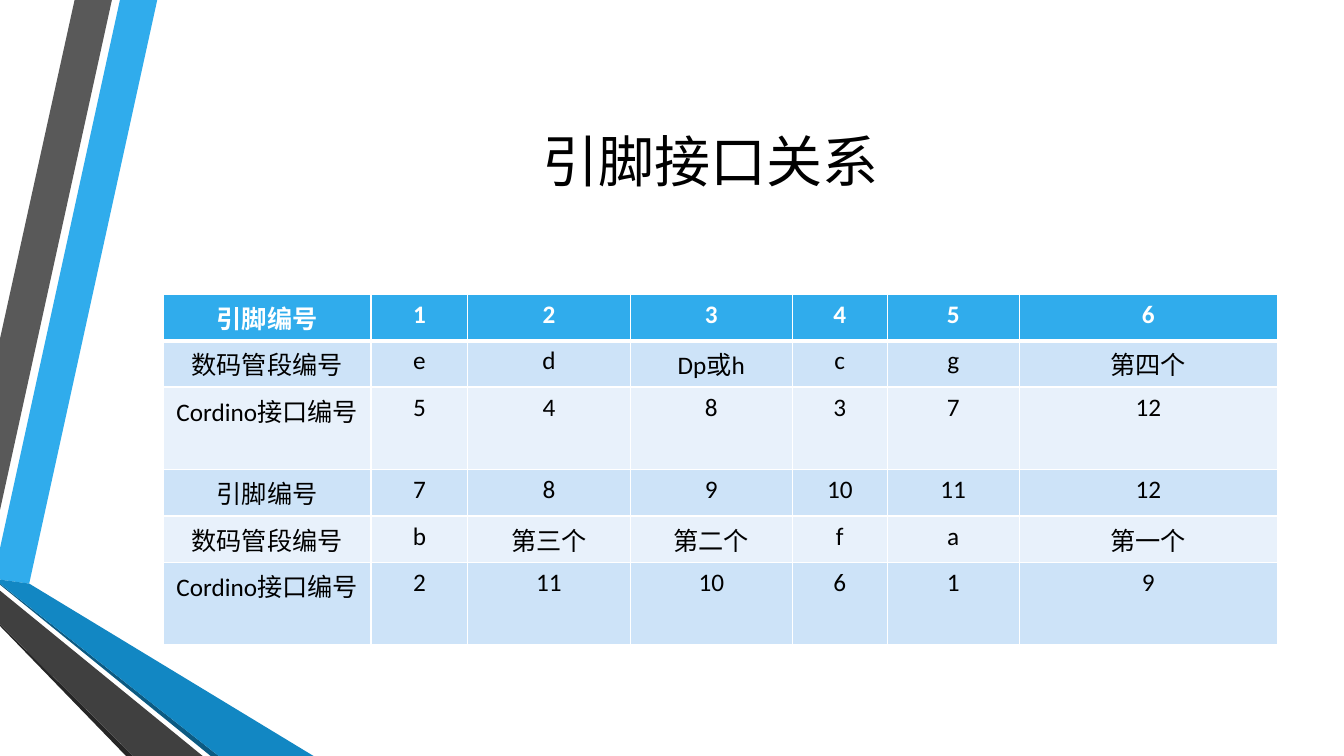
from dataclasses import dataclass

from lxml.etree import SubElement
from pptx import Presentation
from pptx.dml.color import RGBColor
from pptx.enum.text import MSO_ANCHOR, PP_ALIGN
from pptx.oxml.ns import qn
from pptx.util import Inches, Pt


@dataclass(frozen=True)
class Theme:
    font: str = "Calibri"
    title_size: int = 40
    table_size: int = 18
    text: str = "000000"
    white: str = "FFFFFF"
    blue: str = "30ACEC"
    blue_dark: str = "1287C3"
    blue_shadow: str = "0C5A82"
    gray: str = "595959"
    gray_dark: str = "404040"
    gray_shadow: str = "262626"
    band_dark: str = "CDE3F8"
    band_light: str = "E8F1FB"


theme = Theme()


def write_text(text_frame, text, size, color=theme.text, bold=False):
    paragraph = text_frame.paragraphs[0]
    paragraph.alignment = PP_ALIGN.CENTER
    run = paragraph.add_run()
    run.text = text
    run.font.name = theme.font
    run.font.size = Pt(size)
    run.font.bold = bold
    run.font.color.rgb = RGBColor.from_string(color)


def add_borders(cell, **widths):
    """Draw white cell borders; each keyword is a side (L, R, T, B) with its width in points."""
    properties = cell._tc.get_or_add_tcPr()
    for side, width in widths.items():
        line = SubElement(properties, qn(f"a:ln{side}"), w=str(Pt(width)))
        fill = SubElement(line, qn("a:solidFill"))
        SubElement(fill, qn("a:srgbClr"), val=theme.white)


presentation = Presentation()
presentation.slide_width = Inches(13.33)
presentation.slide_height = Inches(7.5)
slide = presentation.slides.add_slide(presentation.slide_layouts[6])

# Folded ribbons along the left edge, from back to front
ribbons = [
    (theme.blue, [(0, 5.44), (0, 5.75), (0.29, 5.79), (1.56, 0), (1.19, 0)]),
    (theme.gray, [(1.11, 0), (0.74, 0), (0, 3.36), (0, 5.06)]),
    (theme.gray_shadow, [(0, 6.19), (0, 6.21), (1.25, 7.5), (1.32, 7.5)]),
    (theme.blue_shadow, [(0, 5.79), (0, 5.8), (2.09, 7.5), (2.17, 7.5)]),
    (theme.blue_dark, [(0, 5.79), (2.17, 7.5), (3.11, 7.5), (0.29, 5.79), (0, 5.75)]),
    (theme.gray_dark, [(0, 6.19), (1.32, 7.5), (2.01, 7.5), (0, 5.86)]),
]
for color, corners in ribbons:
    points = [(Inches(x), Inches(y)) for x, y in corners]
    builder = slide.shapes.build_freeform(*points[0])
    builder.add_line_segments(points[1:], close=True)
    ribbon = builder.convert_to_shape()
    ribbon.shadow.inherit = False
    ribbon.fill.solid()
    ribbon.fill.fore_color.rgb = RGBColor.from_string(color)
    ribbon.line.fill.background()

title = slide.shapes.add_textbox(Inches(1.43), Inches(0.5), Inches(11.23), Inches(2.17))
title.text_frame.word_wrap = True
title.text_frame.vertical_anchor = MSO_ANCHOR.MIDDLE
write_text(title.text_frame, "引脚接口关系", size=theme.title_size)

# Pin table
pin_rows = [
    ["引脚编号", "1", "2", "3", "4", "5", "6"],
    ["数码管段编号", "e", "d", "Dp或h", "c", "g", "第四个"],
    ["Cordino接口编号", "5", "4", "8", "3", "7", "12"],
    ["引脚编号", "7", "8", "9", "10", "11", "12"],
    ["数码管段编号", "b", "第三个", "第二个", "f", "a", "第一个"],
    ["Cordino接口编号", "2", "11", "10", "6", "1", "9"],
]
column_widths = [2.06, 0.96, 1.61, 1.61, 0.94, 1.31, 2.56]
row_heights = [0.46, 0.46, 0.82] * 2  # every third row holds a two-line label
table = slide.shapes.add_table(
    len(row_heights), len(column_widths), Inches(1.62), Inches(2.92),
    Inches(sum(column_widths)), Inches(sum(row_heights)),
).table
for column, width in zip(table.columns, column_widths):
    column.width = Inches(width)
for row, height in zip(table.rows, row_heights):
    row.height = Inches(height)

for row_index, values in enumerate(pin_rows):
    is_header = row_index == 0
    band = theme.band_dark if row_index % 2 else theme.band_light
    for column_index, value in enumerate(values):
        cell = table.cell(row_index, column_index)
        add_borders(cell, L=1, R=1, T=3 if row_index == 1 else 1, B=3 if is_header else 1)
        cell.fill.solid()
        cell.fill.fore_color.rgb = RGBColor.from_string(theme.blue if is_header else band)
        write_text(cell.text_frame, value, size=theme.table_size,
                   color=theme.white if is_header else theme.text, bold=is_header)

presentation.save("out.pptx")
